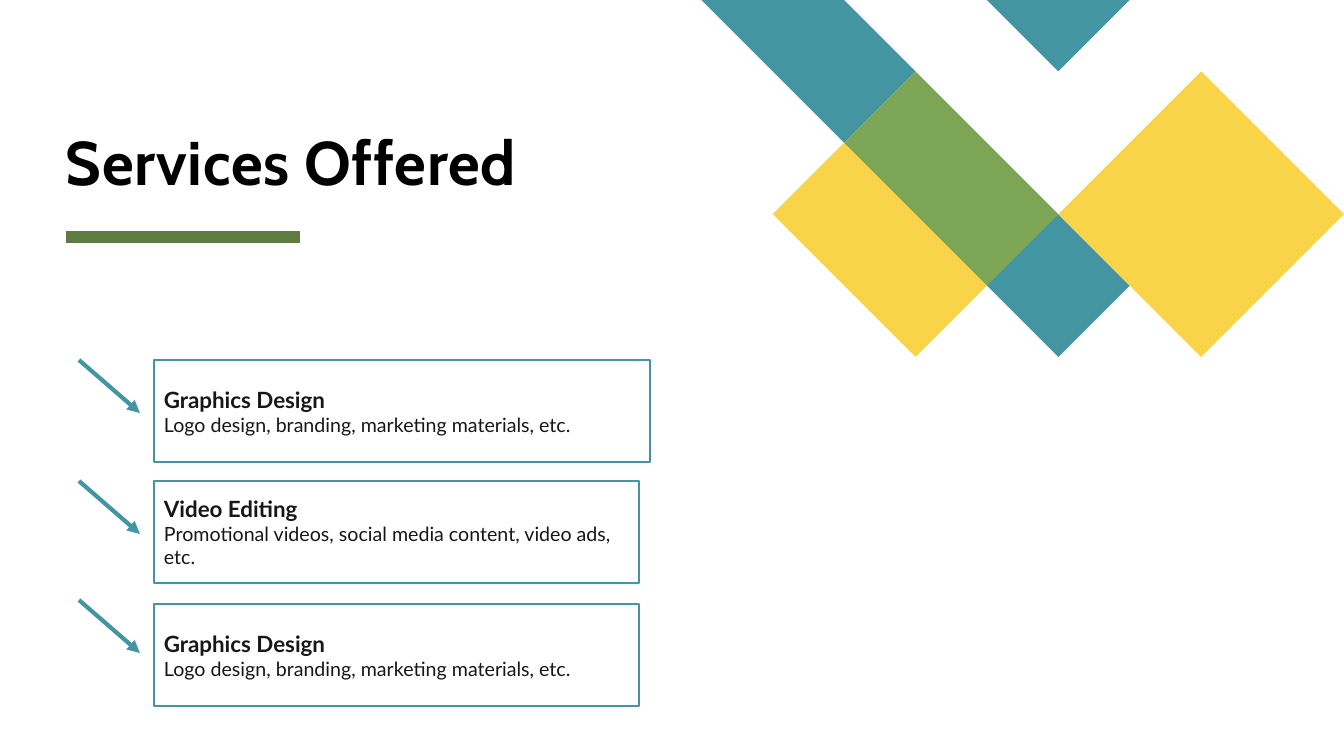
from lxml import etree
from pptx import Presentation
from pptx.dml.color import RGBColor
from pptx.enum.shapes import MSO_CONNECTOR, MSO_SHAPE
from pptx.enum.text import MSO_ANCHOR, PP_ALIGN
from pptx.oxml.ns import qn
from pptx.util import Pt

PX = 12192000 / 1344

TEAL = RGBColor(0x44, 0x95, 0xA2)
YELLOW = RGBColor(0xF9, 0xD4, 0x48)
GREEN = RGBColor(0x7C, 0xA6, 0x55)
DARK_GREEN = RGBColor(0x5D, 0x7D, 0x40)
INK = RGBColor(0x17, 0x17, 0x17)
BLACK = RGBColor(0, 0, 0)
WHITE = RGBColor(0xFF, 0xFF, 0xFF)


def px(*lengths):
    """Turn pixel lengths into EMU."""
    return [round(length * PX) for length in lengths]


def add_line(x1, y1, x2, y2, color, width):
    line = slide.shapes.add_connector(MSO_CONNECTOR.STRAIGHT, *px(x1, y1, x2, y2))
    line.line.color.rgb = color
    line.line.width = Pt(width)
    etree.SubElement(line._element.spPr, qn("a:effectLst"))
    return line


presentation = Presentation()
presentation.slide_width, presentation.slide_height = px(1344, 756)
slide = presentation.slides.add_slide(presentation.slide_layouts[6])

# Diamond pattern: corners as (column, row) on a square grid ending at the right edge
GRID_STEP = 71.4
GRID_LEFT = 1344 - 9 * GRID_STEP
pattern = [
    (TEAL, [[(3, 1), (2, 0), (0, 0), (2, 2)], [(6, 4), (5, 3), (4, 4), (5, 5)]]),
    (YELLOW, [[(2, 2), (1, 3), (3, 5), (4, 4)]]),
    (TEAL, [[(6, 0), (4, 0), (5, 1)]]),
    (GREEN, [[(3, 1), (2, 2), (4, 4), (5, 3)]]),
    (YELLOW, [[(9, 3), (7, 1), (5, 3), (7, 5)]]),
]
for color, outlines in pattern:
    builder = None
    for outline in outlines:
        corners = [px(GRID_LEFT + column * GRID_STEP, row * GRID_STEP) for column, row in outline]
        if builder is None:
            builder = slide.shapes.build_freeform(*corners[0])
        else:
            builder.move_to(*corners[0])
        builder.add_line_segments(corners[1:], close=True)
    shape = builder.convert_to_shape()
    shape.shadow.inherit = False
    shape.fill.solid()
    shape.fill.fore_color.rgb = color
    shape.line.fill.background()

# Title and the rule below it
title = slide.shapes.add_textbox(*px(66, 21, 748, 176))
frame = title.text_frame
frame.word_wrap = True
frame.vertical_anchor = MSO_ANCHOR.BOTTOM
frame.margin_left = frame.margin_right = frame.margin_top = frame.margin_bottom = 0
paragraph = frame.paragraphs[0]
paragraph.line_spacing = 0.8
run = paragraph.add_run()
run.text = "Services Offered"
run.font.name = "Cabin"
run.font.size = Pt(44)
run.font.bold = True
run.font.color.rgb = BLACK
run._r.get_or_add_rPr().set("spc", "50")
add_line(66, 237, 300, 237, DARK_GREEN, 8)

# Services: arrow top, box top, box width, name, details
services = [
    (360, 360, 496, "Graphics Design", "Logo design, branding, marketing materials, etc."),
    (481, 481, 485, "Video Editing", "Promotional videos, social media content, video ads, etc."),
    (600, 604, 485, "Graphics Design", "Logo design, branding, marketing materials, etc."),
]
for arrow_top, box_top, box_width, name, details in services:
    arrow = add_line(79, arrow_top, 140, arrow_top + 53, TEAL, 3)
    etree.SubElement(arrow.line._get_or_add_ln(), qn("a:tailEnd"), type="triangle")

    box = slide.shapes.add_shape(MSO_SHAPE.RECTANGLE, *px(154, box_top, box_width, 102))
    box.shadow.inherit = False
    box.fill.solid()
    box.fill.fore_color.rgb = WHITE
    box.line.color.rgb = TEAL
    box.line.width = Pt(1)
    frame = box.text_frame
    frame.word_wrap = True
    frame.vertical_anchor = MSO_ANCHOR.MIDDLE
    for index, (text, size, bold) in enumerate([(name, 16, True), (details, 14, False)]):
        paragraph = frame.add_paragraph() if index else frame.paragraphs[0]
        paragraph.alignment = PP_ALIGN.LEFT
        run = paragraph.add_run()
        run.text = text
        run.font.name = "Lato"
        run.font.size = Pt(size)
        run.font.bold = bold
        run.font.color.rgb = INK

presentation.save("out.pptx")
